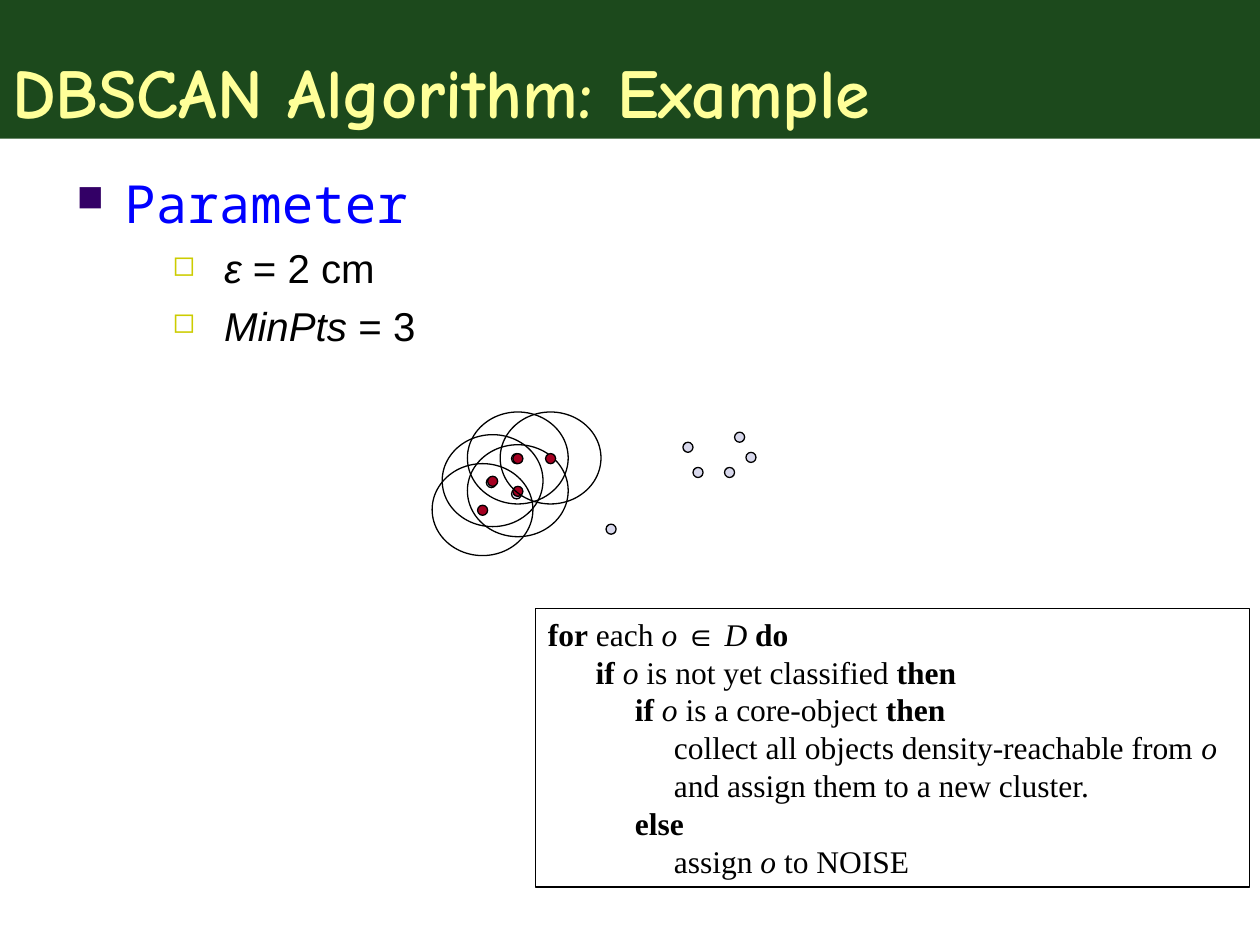
import pptx
import pptx.util
import pptx.dml.color
import pptx.enum.shapes
import pptx.enum.text
import lxml.etree

Inches = pptx.util.Inches
Pt = pptx.util.Pt
KIND = pptx.enum.shapes.MSO_SHAPE
ANCHOR = pptx.enum.text.MSO_ANCHOR
LEFT = pptx.enum.text.PP_ALIGN.LEFT
NS = "http://schemas.openxmlformats.org/drawingml/2006/main"


def shade(text):
    return pptx.dml.color.RGBColor.from_string(text)


def add_run(para, text, font, size, color, style=""):
    run = para.add_run()
    run.text = text
    run.font.name = font
    run.font.size = Pt(size)
    run.font.color.rgb = shade(color)
    run.font.bold = "b" in style
    run.font.italic = "i" in style


deck = pptx.Presentation()
deck.slide_width = Inches(10)
deck.slide_height = Inches(7.5)
slide = deck.slides.add_slide(deck.slide_layouts[6])
shapes = slide.shapes

# Title band
band = shapes.add_shape(KIND.RECTANGLE, 0, 0, Inches(10), Inches(1.1))
band.shadow.inherit = False
band.fill.solid()
band.fill.fore_color.rgb = shade("003300")
tint = band.fill._xPr.find(f".//{{{NS}}}srgbClr")
lxml.etree.SubElement(tint, f"{{{NS}}}alpha", val="89000")
band.line.fill.background()
frame = band.text_frame
frame.word_wrap = True
frame.vertical_anchor = ANCHOR.BOTTOM
para = frame.paragraphs[0]
para.alignment = LEFT
add_run(para, "DBSCAN Algorithm: Example", "Comic Neue", 40, "FFFF99", "b")

# Parameter list: level, margin, hang, bullet, bullet colour, font, size, colour, runs
items = [
    (0, 0.38, 0.38, "■", "330066", "Noto Sans Mono", 30, "0000FF",
     [("Parameter", "")]),
    (1, 1.17, 0.41, "◻", "CCCC00", "Arial", 23, "000000",
     [("ε", "i"), (" = 2 cm", "")]),
    (1, 1.17, 0.41, "◻", "CCCC00", "Arial", 23, "000000",
     [("MinPts", "i"), (" = 3", "")]),
]
body = shapes.add_textbox(Inches(0.51), Inches(1.31), Inches(9), Inches(5.75))
frame = body.text_frame
frame.word_wrap = True
for n, (level, left, hang, mark, tone, font, size, color, runs) in enumerate(items):
    para = frame.add_paragraph() if n else frame.paragraphs[0]
    para.level = level
    if n:
        para.space_before = Pt(5.3)
    props = para._p.get_or_add_pPr()
    props.set("marL", str(Inches(left)))
    props.set("indent", str(-Inches(hang)))
    paint = lxml.etree.SubElement(props, f"{{{NS}}}buClr")
    lxml.etree.SubElement(paint, f"{{{NS}}}srgbClr", val=tone)
    lxml.etree.SubElement(props, f"{{{NS}}}buSzPct", val="70000")
    lxml.etree.SubElement(props, f"{{{NS}}}buChar", char=mark)
    for text, style in runs:
        add_run(para, text, font, size, color, style)

# Data points, then each core point inside its radius
DOT = 0.08
points = [(5.5, 3.71), (5.42, 3.51), (4.06, 3.6), (3.86, 3.79), (4.06, 3.88),
          (5.75, 3.71), (5.92, 3.59), (5.83, 3.43), (4.81, 4.16)]
rings = [(3.43, 3.68), (3.51, 3.45), (3.71, 3.27), (3.71, 3.53), (3.97, 3.27)]
ovals = [(x, y, DOT, DOT, "D8D8EC") for x, y in points]
for x, y in rings:
    ovals.append((x, y, 0.8, 0.73, None))
    ovals.append((x + 0.36, y + 0.33, DOT, DOT, "A50021"))
for x, y, wide, high, color in ovals:
    oval = shapes.add_shape(KIND.OVAL, Inches(x), Inches(y), Inches(wide), Inches(high))
    oval.shadow.inherit = False
    if color:
        oval.fill.solid()
        oval.fill.fore_color.rgb = shade(color)
    else:
        oval.fill.background()
    oval.line.color.rgb = shade("000000")
    oval.line.width = Pt(0.75)

# Pseudocode box: indent of each line, then its runs
lines = [
    (0, [("for", "b"), (" each ", ""), ("o ", "i"), ("∈", "s"), (" D ", "i"), ("do", "b")]),
    (0.38, [("if ", "b"), ("o", "i"), (" is not yet classified ", ""), ("then", "b")]),
    (0.69, [("if ", "b"), ("o", "i"), (" is a core-object ", ""), ("then", "b")]),
    (1, [("collect all objects density-reachable from ", ""), ("o", "i")]),
    (1, [("and assign them to a new cluster.", "")]),
    (0.69, [("else", "b")]),
    (1, [("assign ", ""), ("o", "i"), (" to NOISE", "")]),
]
box = shapes.add_shape(KIND.RECTANGLE, Inches(4.25), Inches(4.83), Inches(5.67), Inches(2.21))
box.shadow.inherit = False
box.fill.background()
box.line.color.rgb = shade("000000")
box.line.width = Pt(0.75)
frame = box.text_frame
frame.word_wrap = True
frame.vertical_anchor = ANCHOR.TOP
for n, (left, runs) in enumerate(lines):
    para = frame.add_paragraph() if n else frame.paragraphs[0]
    para.alignment = LEFT
    para.line_spacing = Pt(21.6)
    para._p.get_or_add_pPr().set("marL", str(Inches(left)))
    for text, style in runs:
        font = "Arial" if style == "s" else "Times New Roman"
        add_run(para, text, font, 18, "000000", style)

deck.save("out.pptx")
